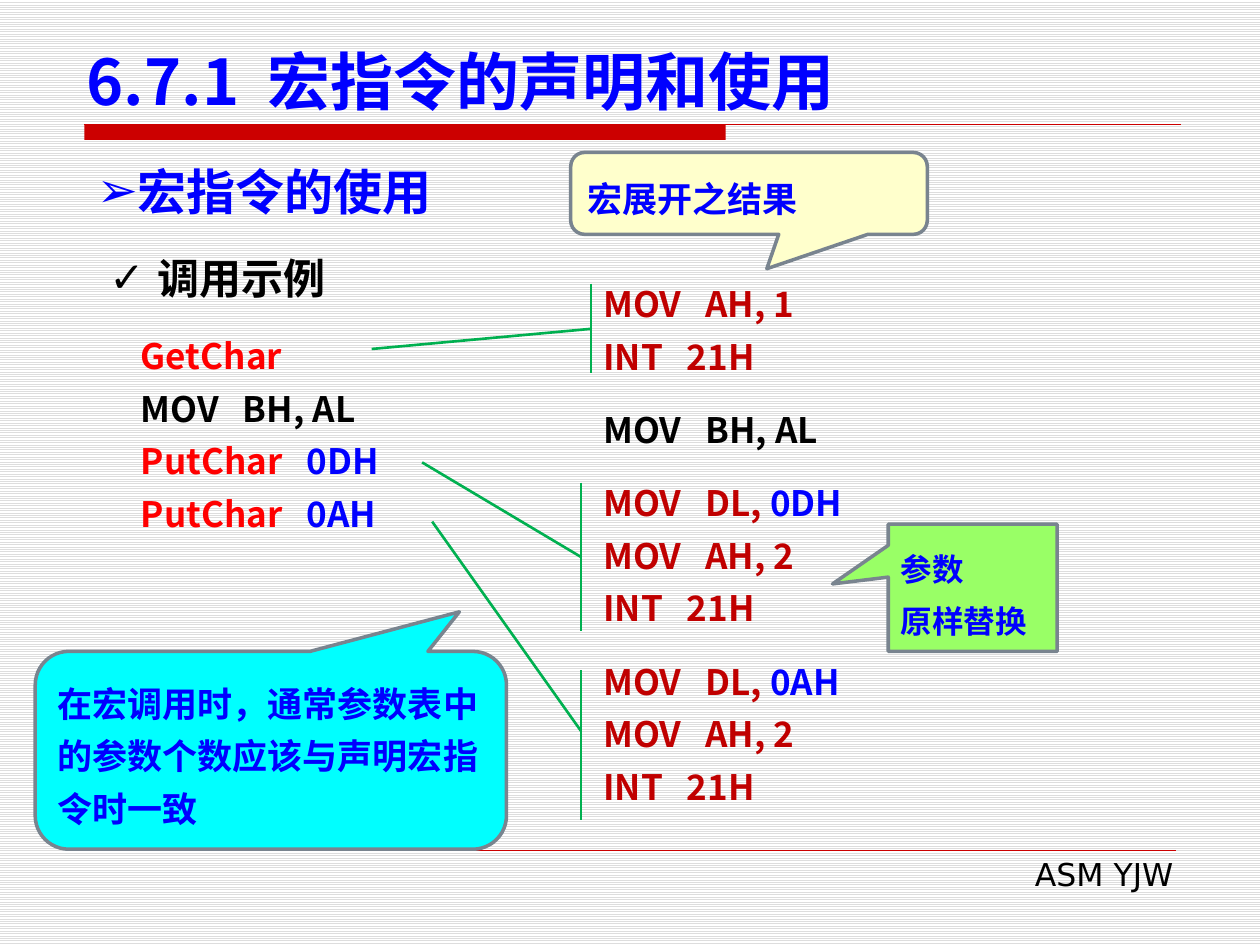
from lxml import etree
from pptx import Presentation
from pptx.dml.color import RGBColor
from pptx.enum.dml import MSO_PATTERN
from pptx.enum.shapes import MSO_CONNECTOR, MSO_SHAPE
from pptx.enum.text import MSO_ANCHOR, PP_ALIGN
from pptx.oxml.ns import qn
from pptx.util import Inches, Pt

LIGHT_HORIZONTAL = MSO_PATTERN.LIGHT_HORIZONTAL
STRAIGHT = MSO_CONNECTOR.STRAIGHT
RECTANGLE = MSO_SHAPE.RECTANGLE
ROUND_CALLOUT = MSO_SHAPE.ROUNDED_RECTANGULAR_CALLOUT
RECT_CALLOUT = MSO_SHAPE.RECTANGULAR_CALLOUT
TOP, MIDDLE, BOTTOM = MSO_ANCHOR.TOP, MSO_ANCHOR.MIDDLE, MSO_ANCHOR.BOTTOM
LEFT, RIGHT = PP_ALIGN.LEFT, PP_ALIGN.RIGHT

WHITE = RGBColor(0xFF, 0xFF, 0xFF)
STRIPE = RGBColor(0xDD, 0xDD, 0xDD)
BLACK = RGBColor(0, 0, 0)
BLUE = RGBColor(0, 0, 0xFF)
RED = RGBColor(0xFF, 0, 0)
DARK_RED = RGBColor(0xC0, 0, 0)
RULE_RED = RGBColor(0xCC, 0, 0)
GREEN = RGBColor(0, 0xB0, 0x50)
OUTLINE = RGBColor(0x79, 0x84, 0x8F)
CREAM = RGBColor(0xFF, 0xFF, 0xCC)
CYAN = RGBColor(0, 0xFF, 0xFF)
LIME = RGBColor(0x99, 0xFF, 0x66)

CJK = "Noto Sans CJK SC"
LATIN = "DejaVu Sans"
LINE_PITCH = Pt(30)
GROUP_GAP = Pt(12)


def style_run(run, size, color, font=CJK, bold=True):
    run.font.size = Pt(size)
    run.font.bold = bold
    run.font.name = font
    run.font.color.rgb = color
    east_asian = etree.SubElement(run._r.get_or_add_rPr(), qn("a:ea"))
    east_asian.set("typeface", CJK)


def write(frame, lines, size, font=CJK, bold=True, pitch=None, align=LEFT):
    """Each line is a list of (text, color) pieces."""
    for i, pieces in enumerate(lines):
        paragraph = frame.add_paragraph() if i else frame.paragraphs[0]
        paragraph.alignment = align
        if pitch:
            paragraph.line_spacing = pitch
        for text, color in pieces:
            run = paragraph.add_run()
            run.text = text
            style_run(run, size, color, font, bold)


def add_text_box(slide, box, anchor=TOP):
    frame = slide.shapes.add_textbox(*map(Inches, box)).text_frame
    frame.word_wrap = True
    frame.vertical_anchor = anchor
    return frame


def indent(paragraph, margin, first=0, bullet=None):
    properties = paragraph._p.get_or_add_pPr()
    properties.set("marL", str(Inches(margin)))
    properties.set("indent", str(Inches(first)))
    if bullet:
        etree.SubElement(properties, qn("a:buFont")).set("typeface", LATIN)
        etree.SubElement(properties, qn("a:buChar")).set("char", bullet)


def add_line(slide, start, end, color, width):
    line = slide.shapes.add_connector(STRAIGHT, *map(Inches, (*start, *end)))
    line.line.color.rgb = color
    line.line.width = Pt(width)
    etree.SubElement(line._element.spPr, qn("a:effectLst"))


def add_title(slide, box, title):
    frame = add_text_box(slide, box, BOTTOM)
    write(frame, [[(title, BLUE)]], 36)
    # Thick and thin rule under the title
    left, rule_y = 0.67, box[1] + box[3]
    bar = slide.shapes.add_shape(
        RECTANGLE, *map(Inches, (left, rule_y, 5.09, 0.12)))
    bar.shadow.inherit = False
    bar.fill.solid()
    bar.fill.fore_color.rgb = RULE_RED
    bar.line.fill.background()
    add_line(slide, (left, rule_y), (9.37, rule_y), RULE_RED, 0.75)


def add_footer(slide, box, text):
    add_line(slide, (0.67, 6.75), (9.33, 6.75), RULE_RED, 0.25)
    frame = add_text_box(slide, box)
    write(frame, [[(text, BLACK)]], 18, LATIN, bold=False, align=RIGHT)


def add_heading(slide, box, text):
    frame = add_text_box(slide, box)
    write(frame, [[(text, BLUE)]], 28, LATIN)
    indent(frame.paragraphs[0], 0, bullet="➢")


def add_call_example(slide, box):
    frame = add_text_box(slide, box)
    write(frame, [
        [("调用示例", BLACK)],
        [("GetChar", RED)],
        [("MOV   BH, AL", BLACK)],
        [("PutChar   ", RED), ("0DH", BLUE)],
        [("PutChar   ", RED), ("0AH", BLUE)],
    ], 20, pitch=LINE_PITCH)
    caption, *calls = frame.paragraphs
    caption.runs[0].font.size = Pt(24)
    indent(caption, 0.38, -0.38, "✓")
    calls[0].space_before = GROUP_GAP
    for call in calls:
        indent(call, 0.25)


def put_char(code):
    return [[("MOV   DL, ", DARK_RED), (code, BLUE)],
            [("MOV   AH, 2", DARK_RED)],
            [("INT   21H", DARK_RED)]]


def add_expansion(slide, box):
    groups = [
        [[("MOV   AH, 1", DARK_RED)], [("INT   21H", DARK_RED)]],
        [[("MOV   BH, AL", BLACK)]],
        put_char("0DH"),
        put_char("0AH"),
    ]
    frame = add_text_box(slide, box)
    write(frame, sum(groups, []), 20, pitch=LINE_PITCH)
    first = 0
    for group in groups[:-1]:
        first += len(group)
        frame.paragraphs[first].space_before = GROUP_GAP


def add_bracket(slide, call, target, top, bottom):
    """Line from a macro call to the bar beside its expansion."""
    add_line(slide, call, target, GREEN, 1.5)
    add_line(slide, (target[0], top), (target[0], bottom), GREEN, 1.5)


def add_callout(slide, box, kind, adjustments, fill, lines, size):
    callout = slide.shapes.add_shape(kind, *map(Inches, box))
    callout.shadow.inherit = False
    for i, value in enumerate(adjustments):
        callout.adjustments[i] = value
    callout.fill.solid()
    callout.fill.fore_color.rgb = fill
    callout.line.color.rgb = OUTLINE
    callout.line.width = Pt(2)
    frame = callout.text_frame
    frame.word_wrap = True
    frame.vertical_anchor = MIDDLE
    write(frame, [[(line, BLUE)] for line in lines], size, LATIN,
          pitch=LINE_PITCH)


def main():
    deck = Presentation()
    deck.slide_width, deck.slide_height = Inches(10), Inches(7.5)
    slide = deck.slides.add_slide(deck.slide_layouts[6])
    background = slide.background.fill
    background.patterned()
    background.pattern = LIGHT_HORIZONTAL
    background.fore_color.rgb = STRIPE
    background.back_color.rgb = WHITE

    add_footer(slide, (3.82, 6.74, 5.59, 0.4), "ASM YJW")
    add_title(slide, (0.59, 0.28, 9.06, 0.71), "6.7.1  宏指令的声明和使用")
    add_heading(slide, (0.67, 1.23, 8.66, 0.57), "宏指令的使用")
    add_call_example(slide, (0.77, 1.94, 3.6, 2.37))
    add_expansion(slide, (4.69, 2.11, 3.15, 4.39))

    # Each call linked to its expansion
    add_bracket(slide, (2.95, 2.77), (4.69, 2.61), 2.25, 2.96)
    add_bracket(slide, (3.35, 3.67), (4.61, 4.42), 3.83, 5.01)
    add_bracket(slide, (3.43, 4.14), (4.61, 5.8), 5.32, 6.51)

    # Explanations
    add_callout(slide, (4.53, 1.21, 2.83, 0.65), ROUND_CALLOUT,
                (0.05, 0.92, 0.17), CREAM, ["宏展开之结果"], 20)
    add_callout(slide, (0.28, 5.17, 3.74, 1.57), ROUND_CALLOUT,
                (0.4, -0.7, 0.17), CYAN,
                ["在宏调用时，通常参数表中的参数个数应该与声明宏指令时一致"], 20)
    add_callout(slide, (7.05, 4.16, 1.34, 1.01), RECT_CALLOUT,
                (-0.83, -0.03), LIME, ["参数", "原样替换"], 18)
    deck.save("out.pptx")


if __name__ == "__main__":
    main()
